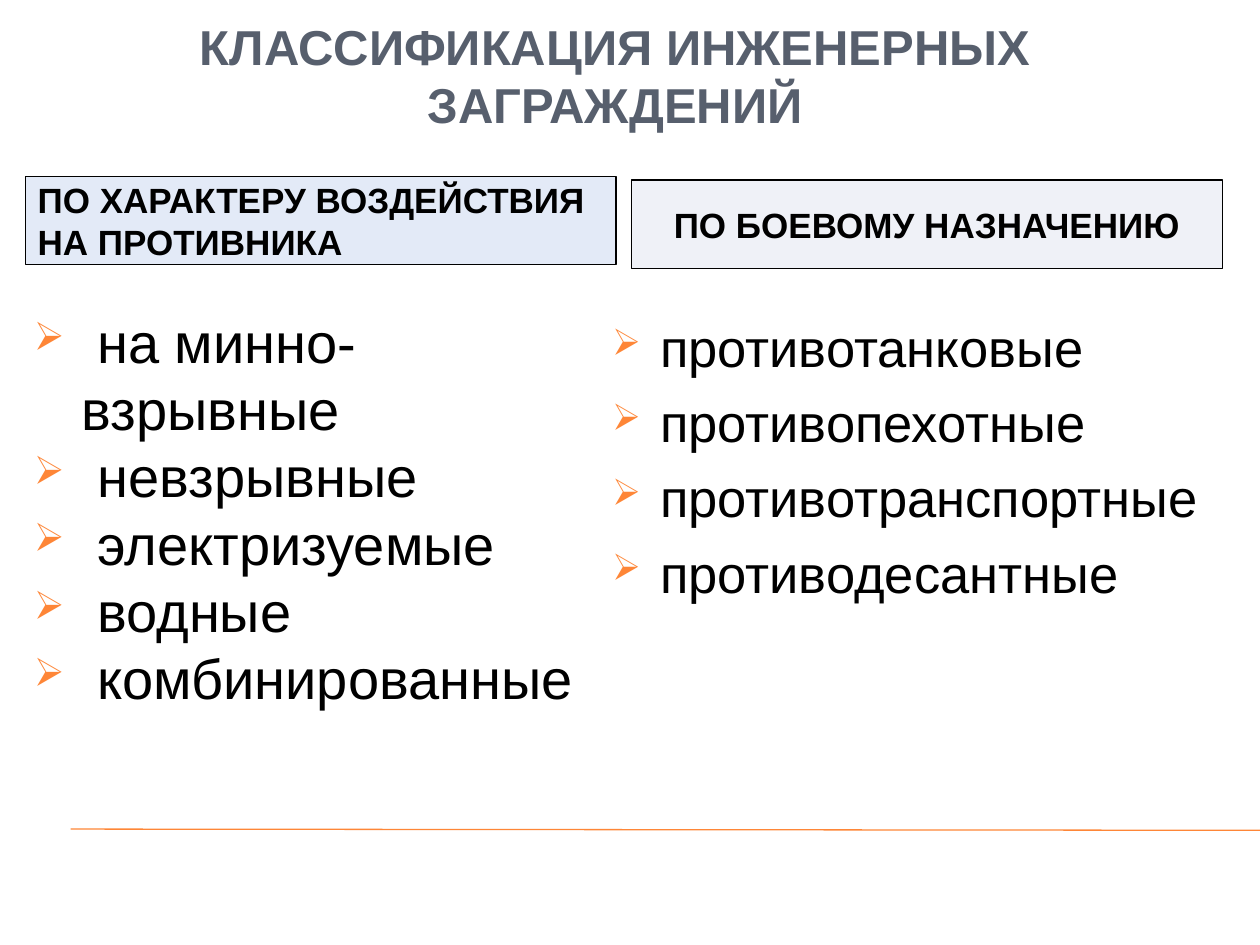
from dataclasses import dataclass

import pptx
import pptx.util
from lxml import etree
from pptx.dml.color import RGBColor
from pptx.enum.shapes import MSO_CONNECTOR, MSO_SHAPE
from pptx.enum.text import MSO_ANCHOR, PP_ALIGN
from pptx.oxml.ns import qn


@dataclass(frozen=True)
class Theme:
    font: str = "Arial"
    accent: str = "FE8637"
    heading: str = "575F6D"
    ink: str = "000000"
    left_fill: str = "E3EAF7"
    right_fill: str = "EFF1F7"
    title_size: int = 28
    header_size: int = 20
    left_size: int = 32
    right_size: int = 30
    hairline: float = 0.75


class Deck:
    """Places elements on a grid of 100 columns by 75 rows."""

    COLS, ROWS = 100, 75

    def __init__(self, theme):
        self.theme = theme
        self.prs = pptx.Presentation()
        self.prs.slide_width = pptx.util.Inches(10)
        self.prs.slide_height = pptx.util.Inches(7.5)
        self.s = self.prs.slides.add_slide(self.prs.slide_layouts[6])

    def x(self, cols):
        return round(self.prs.slide_width * cols / self.COLS)

    def y(self, rows):
        return round(self.prs.slide_height * rows / self.ROWS)

    def place(self, col, row, cols, rows):
        return self.x(col), self.y(row), self.x(cols), self.y(rows)

    def run(self, p, text, size, color, bold=False):
        r = p.add_run()
        r.text = text
        r.font.name = self.theme.font
        r.font.size = pptx.util.Pt(size)
        r.font.bold = bold
        r.font.color.rgb = RGBColor.from_string(color)

    def bullet(self, p):
        """Give a paragraph a hanging arrow bullet in the accent colour."""
        pPr = p._p.get_or_add_pPr()
        indent = pptx.util.Inches(0.38)
        pPr.set("marL", str(indent))
        pPr.set("indent", str(-indent))
        color = etree.SubElement(pPr, qn("a:buClr"))
        etree.SubElement(color, qn("a:srgbClr"), val=self.theme.accent)
        etree.SubElement(pPr, qn("a:buSzPct"), val="70000")
        etree.SubElement(pPr, qn("a:buChar"), char="➢")

    def rule(self, start, end):
        line = self.s.shapes.add_connector(
            MSO_CONNECTOR.STRAIGHT, self.x(start[0]), self.y(start[1]),
            self.x(end[0]), self.y(end[1]))
        line.line.color.rgb = RGBColor.from_string(self.theme.accent)
        line.line.width = pptx.util.Pt(self.theme.hairline)
        etree.SubElement(line._element.spPr, qn("a:effectLst"))

    def title(self, text, *box):
        tf = self.s.shapes.add_textbox(*self.place(*box)).text_frame
        tf.word_wrap = True
        tf.vertical_anchor = MSO_ANCHOR.MIDDLE
        p = tf.paragraphs[0]
        p.alignment = PP_ALIGN.CENTER
        self.run(p, text, self.theme.title_size, self.theme.heading, True)

    def header(self, text, fill, align, *box):
        sp = self.s.shapes.add_shape(MSO_SHAPE.RECTANGLE, *self.place(*box))
        sp.shadow.inherit = False
        sp.fill.solid()
        sp.fill.fore_color.rgb = RGBColor.from_string(fill)
        sp.line.color.rgb = RGBColor.from_string(self.theme.ink)
        sp.line.width = pptx.util.Pt(self.theme.hairline)
        tf = sp.text_frame
        tf.word_wrap = True
        tf.vertical_anchor = MSO_ANCHOR.MIDDLE
        p = tf.paragraphs[0]
        p.alignment = align
        self.run(p, text, self.theme.header_size, self.theme.ink, True)

    def bullets(self, items, size, gap, *box):
        tf = self.s.shapes.add_textbox(*self.place(*box)).text_frame
        tf.word_wrap = True
        for i, item in enumerate(items):
            p = tf.paragraphs[0] if i == 0 else tf.add_paragraph()
            self.bullet(p)
            if i and gap:
                p.space_before = pptx.util.Pt(gap)
            self.run(p, item, size, self.theme.ink)


def main():
    theme = Theme()
    deck = Deck(theme)
    deck.rule((5.6, 65.8), (100, 65.9))
    deck.title("КЛАССИФИКАЦИЯ ИНЖЕНЕРНЫХ ЗАГРАЖДЕНИЙ", 0, 1.1, 97.6, 9.7)
    deck.header("ПО ХАРАКТЕРУ ВОЗДЕЙСТВИЯ НА ПРОТИВНИКА", theme.left_fill,
                PP_ALIGN.LEFT, 2, 14, 46.9, 7)
    deck.header("ПО БОЕВОМУ НАЗНАЧЕНИЮ", theme.right_fill,
                PP_ALIGN.CENTER, 50.1, 14.3, 46.9, 7)
    deck.bullets([" на минно-взрывные", " невзрывные", " электризуемые",
                  " водные", " комбинированные"],
                 theme.left_size, 0, 1.7, 23.9, 46.9, 43.1)
    deck.bullets(["противотанковые", "противопехотные",
                  "противотранспортные", "противодесантные"],
                 theme.right_size, 7, 47.6, 24.5, 50.1, 41.1)
    deck.prs.save("out.pptx")


if __name__ == "__main__":
    main()
